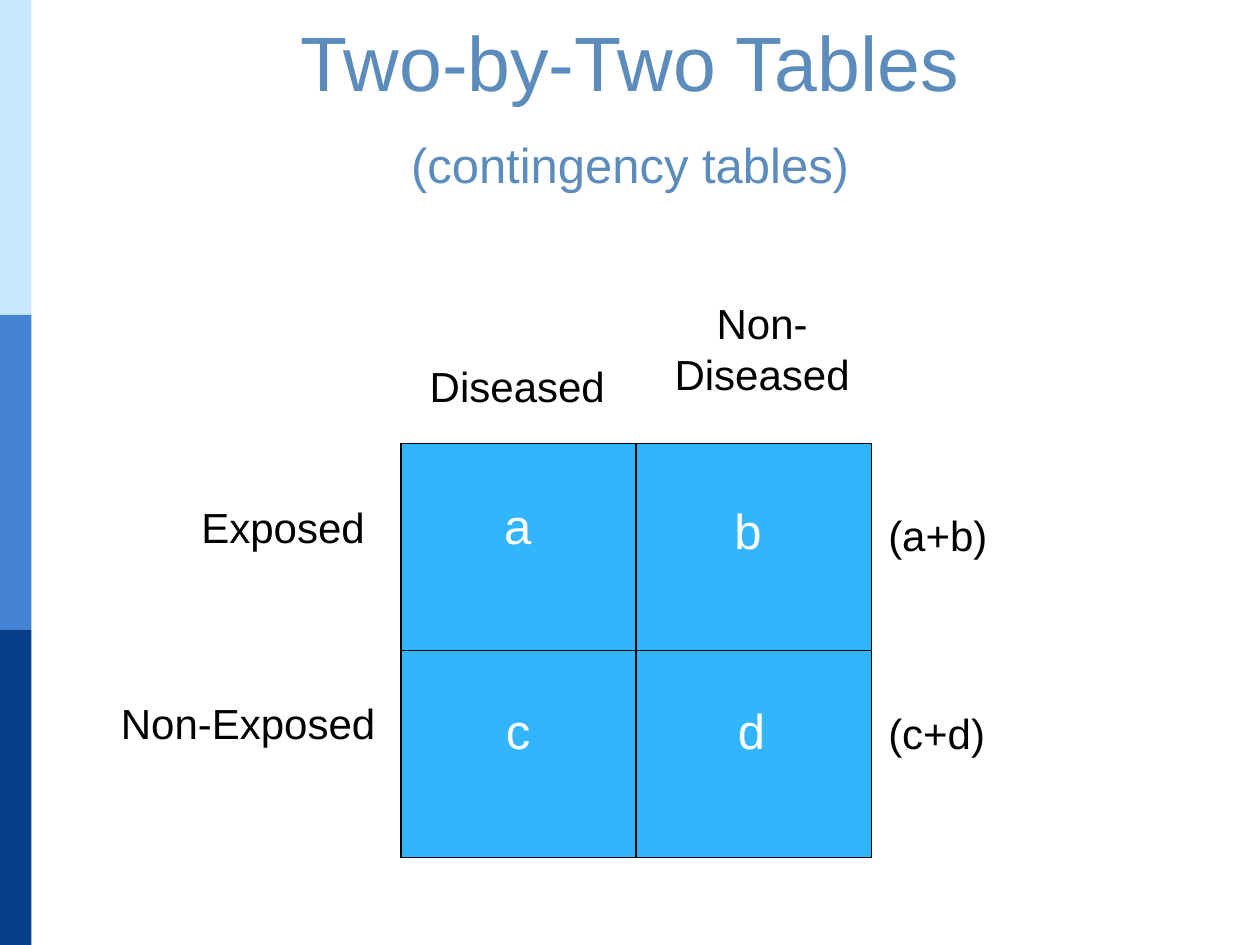
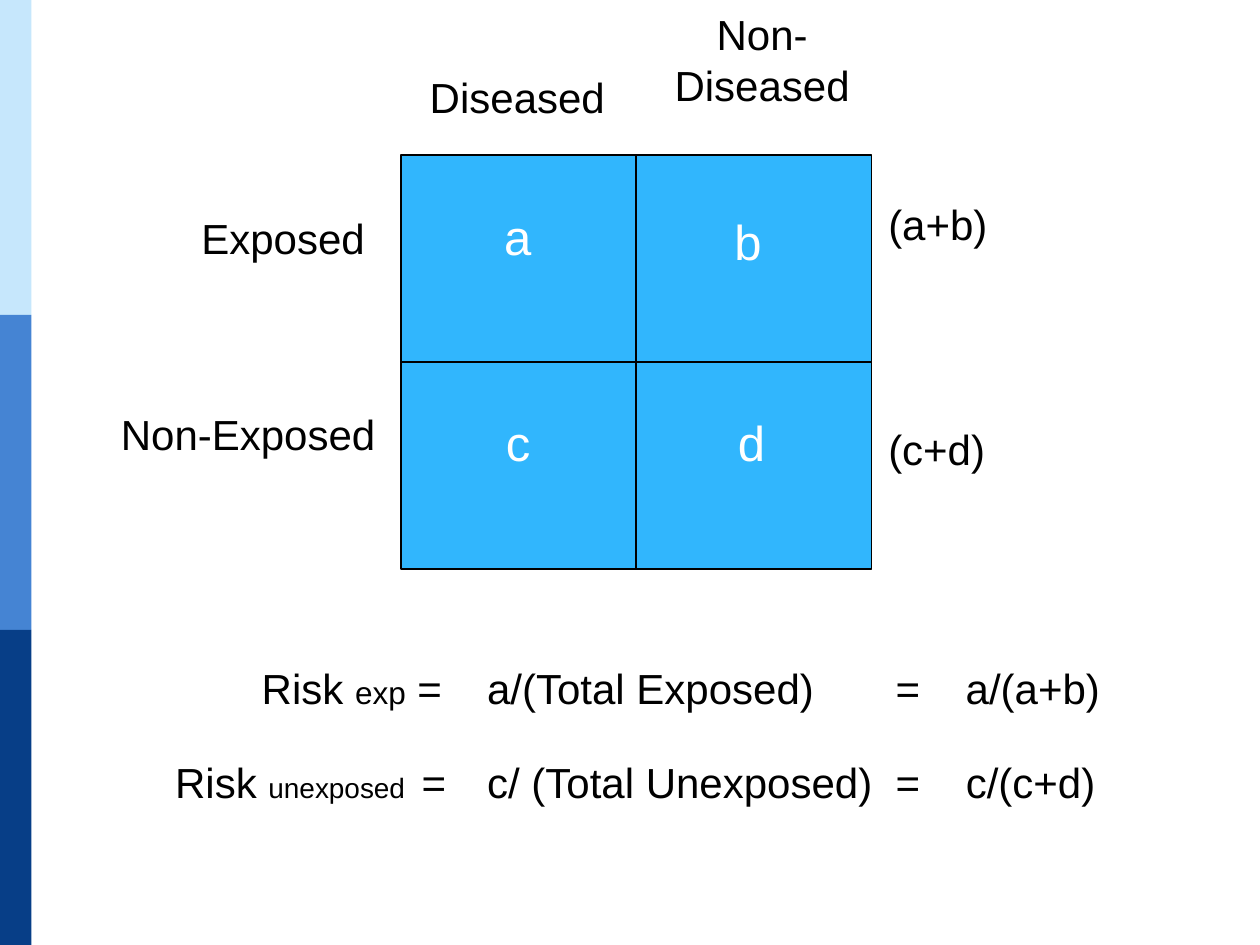
from lxml import etree
from pptx import Presentation
from pptx.dml.color import RGBColor
from pptx.enum import shapes, text
from pptx.oxml import ns
from pptx.util import Pt

WIDTH, HEIGHT = 720, 540
FONT = "Arial"
BLACK, WHITE, TITLE_BLUE, GRID_BLUE = "000000", "FFFFFF", "5C8CBB", "31B6FD"
BAND_COLOURS = ("C6E7FC", "4584D3", "073E87")
GRID_LEFT, GRID_WIDTH, GRID_HEIGHT = 229, 269, 236.5
TOTALS_LEFT = 500.5

# Text, left, top below the grid's top edge, width, height, alignment
HEADINGS = (
    ("Exposed", 108, 29.5, 125, 36, "LEFT"),
    ("Non-Exposed", 62, 141.5, 189, 36, "LEFT"),
    ("Diseased", 238.5, -51, 147, 36, "LEFT"),
    ("Non-Diseased", 362, -87, 147, 65.5, "CENTER"),
)
CELLS = (("a", 281, 26), ("b", 412.5, 29), ("c", 282, 143.5), ("d", 414.5, 143.5))
FORMULA_STOPS = (278.5, 512, 552)


def rgb(value):
    return RGBColor.from_string(value)


def style(p, size, colour, align="LEFT"):
    p.font.name = FONT
    p.font.size = Pt(size)
    p.font.color.rgb = rgb(colour)
    p.alignment = getattr(text.PP_ALIGN, align)


def add_rect(s, left, top, width, height, fill, line=None):
    sp = s.shapes.add_shape(shapes.MSO_SHAPE.RECTANGLE,
                            Pt(left), Pt(top), Pt(width), Pt(height))
    sp.shadow.inherit = False
    sp.fill.solid()
    sp.fill.fore_color.rgb = rgb(fill)
    if line:
        sp.line.color.rgb = rgb(line)
        sp.line.width = Pt(1)
    else:
        sp.line.fill.background()


def add_line(s, x1, y1, x2, y2):
    line = s.shapes.add_connector(shapes.MSO_CONNECTOR.STRAIGHT,
                                  Pt(x1), Pt(y1), Pt(x2), Pt(y2))
    line.line.color.rgb = rgb(BLACK)
    line.line.width = Pt(1)
    etree.SubElement(line.element.spPr, ns.qn("a:effectLst"))


def add_text(s, words, left, top, width, height, size=24, colour=BLACK,
             align="LEFT", wrap=True):
    sp = s.shapes.add_textbox(Pt(left), Pt(top), Pt(width), Pt(height))
    tf = sp.text_frame
    tf.word_wrap = wrap
    tf.auto_size = text.MSO_AUTO_SIZE.SHAPE_TO_FIT_TEXT
    p = tf.paragraphs[0]
    p.text = words
    style(p, size, colour, align)
    return p


def add_title(s, words):
    sp = s.shapes.title
    sp.left, sp.top, sp.width, sp.height = Pt(0), Pt(4.5), Pt(WIDTH), Pt(60.5)
    tf = sp.text_frame
    tf.text = words
    tf.auto_size = text.MSO_AUTO_SIZE.NONE
    tf.vertical_anchor = text.MSO_ANCHOR.TOP
    style(tf.paragraphs[0], 44, TITLE_BLUE, "CENTER")


def add_bands(s):
    """Stack the colour bands down the left edge."""
    height = HEIGHT / len(BAND_COLOURS)
    for i, colour in enumerate(BAND_COLOURS):
        add_rect(s, 0, i * height, 18, height, colour)


def add_contingency_grid(s, top, total_offsets):
    """Draw the two-by-two grid with its headings, cell letters and row totals."""
    right, bottom = GRID_LEFT + GRID_WIDTH, top + GRID_HEIGHT
    middle_x, middle_y = GRID_LEFT + GRID_WIDTH / 2, top + GRID_HEIGHT / 2
    add_rect(s, GRID_LEFT, top, GRID_WIDTH, GRID_HEIGHT, GRID_BLUE, BLACK)
    add_line(s, middle_x, top, middle_x, bottom)
    add_line(s, GRID_LEFT, middle_y, right, middle_y)
    for words, left, offset, width, height, align in HEADINGS:
        add_text(s, words, left, top + offset, width, height, align=align)
    for letter, left, offset in CELLS:
        add_text(s, letter, left, top + offset, 34, 41, 28, WHITE)
    for total, offset in zip(("(a+b)", "(c+d)"), total_offsets):
        add_text(s, total, TOTALS_LEFT, top + offset, 72, 36, wrap=False)


def add_formula(s, left, top, width, group, group_size, rest, stops):
    """Write a risk formula whose parts line up at tab stops on the slide."""
    p = add_text(s, "Risk ", left, top, width, 36)
    r = p.add_run()
    r.text = group
    r.font.size = Pt(group_size)
    p.add_run().text = rest
    text_left = left + 7.2
    tabs = etree.Element(ns.qn("a:tabLst"))
    for stop in stops:
        etree.SubElement(tabs, ns.qn("a:tab"), pos=str(Pt(stop - text_left)), algn="l")
    p.font._element.addprevious(tabs)


def main():
    prs = Presentation()
    prs.slide_width, prs.slide_height = Pt(WIDTH), Pt(HEIGHT)
    title_only, blank = prs.slide_layouts[5], prs.slide_layouts[6]

    s = prs.slides.add_slide(title_only)
    add_bands(s)
    add_title(s, "Two-by-Two Tables")
    add_text(s, "(contingency tables)", 0, 73.5, WIDTH, 41, 28, TITLE_BLUE, "CENTER")
    add_contingency_grid(s, 253.5, (34, 147.5))

    s = prs.slides.add_slide(blank)
    add_bands(s)
    add_contingency_grid(s, 88.5, (21.5, 150))
    add_formula(s, 142.5, 375, 529, "exp", 18,
                " =\ta/(Total Exposed)\t=\ta/(a+b)", FORMULA_STOPS)
    add_formula(s, 93, 429, 548, "unexposed", 16,
                "\t=\tc/ (Total Unexposed)\t=\tc/(c+d)", (241, *FORMULA_STOPS))

    prs.save("out.pptx")


if __name__ == "__main__":
    main()
